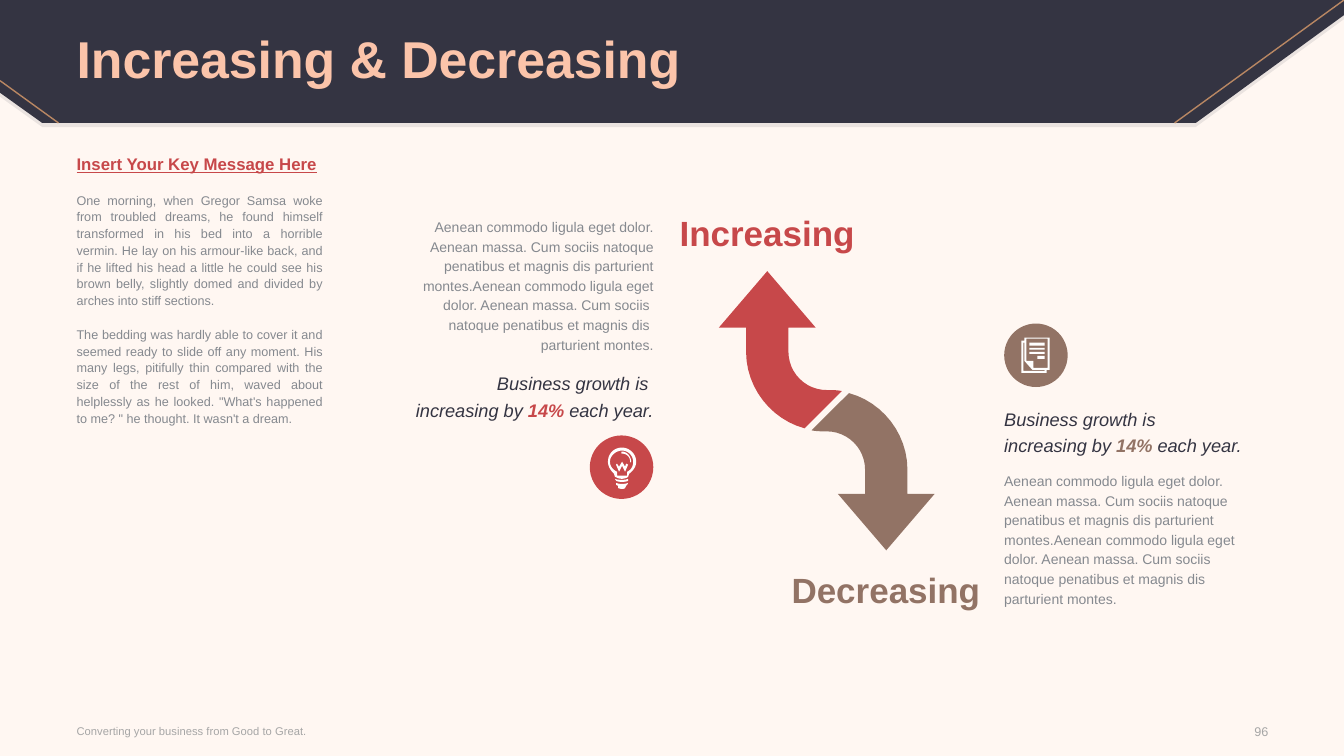
from dataclasses import dataclass

from lxml import etree
from pptx import Presentation
from pptx.dml.color import RGBColor
from pptx.enum.shapes import MSO_CONNECTOR, MSO_SHAPE
from pptx.enum.text import MSO_ANCHOR, MSO_AUTO_SIZE, PP_ALIGN
from pptx.oxml.ns import qn
from pptx.util import Inches, Pt

LEFT, RIGHT, JUSTIFY = PP_ALIGN.LEFT, PP_ALIGN.RIGHT, PP_ALIGN.JUSTIFY
TOP, MIDDLE = MSO_ANCHOR.TOP, MSO_ANCHOR.MIDDLE
OVAL, STRAIGHT = MSO_SHAPE.OVAL, MSO_CONNECTOR.STRAIGHT
NO_FIT = MSO_AUTO_SIZE.NONE


@dataclass(frozen=True)
class Theme:
    font: str = "Arial"
    paper: str = "FFF7F2"
    navy: str = "343442"
    peach: str = "FBC4AA"
    gold: str = "B98763"
    red: str = "C7484A"
    brown: str = "927365"
    grey: str = "85898F"
    pale: str = "A6A6A6"
    white: str = "FFFFFF"
    title: float = 37
    label: float = 25
    claim: float = 13
    heading: float = 12
    detail: float = 10
    body: float = 9
    footer: float = 8


T = Theme()

BAND = [(11.86, 1.22), (0.42, 1.22), (0, 0.92), (0, 0), (13.33, 0), (13.33, 0.15)]
ARROW = [
    (8.35, 3.88), (7.98, 4.25), (7.65, 4.16, 7.4, 3.85, 7.4, 3.49), (7.4, 3.25),
    (7.13, 3.25), (7.61, 2.69), (8.09, 3.25), (7.82, 3.25), (7.82, 3.49),
    (7.82, 3.7, 7.99, 3.87, 8.2, 3.87), (8.25, 3.87, 8.3, 3.87, 8.35, 3.88),
]
BULB = [
    [(6.11, 4.79), (6.11, 4.81), (6.13, 4.82), (6.13, 4.84),
     (6.13, 4.84, 6.14, 4.85, 6.17, 4.85), (6.2, 4.85, 6.2, 4.84, 6.2, 4.84),
     (6.21, 4.82), (6.22, 4.81), (6.23, 4.79),
     (6.21, 4.8, 6.19, 4.8, 6.17, 4.8), (6.15, 4.8, 6.13, 4.8, 6.11, 4.79)],
    [(6.1, 4.75), (6.11, 4.77), (6.13, 4.78, 6.15, 4.78, 6.17, 4.78),
     (6.19, 4.78, 6.21, 4.78, 6.23, 4.77), (6.23, 4.75),
     (6.21, 4.76, 6.19, 4.76, 6.17, 4.76), (6.14, 4.76, 6.12, 4.76, 6.1, 4.75)],
    [(6.17, 4.44), (6.09, 4.44, 6.03, 4.5, 6.03, 4.58),
     (6.03, 4.63, 6.06, 4.67, 6.09, 4.7), (6.1, 4.73),
     (6.12, 4.74, 6.14, 4.75, 6.17, 4.75), (6.19, 4.75, 6.22, 4.74, 6.23, 4.73),
     (6.24, 4.7), (6.28, 4.67, 6.31, 4.63, 6.31, 4.58),
     (6.31, 4.5, 6.24, 4.44, 6.17, 4.44)],
    [(6.22, 4.68), (6.22, 4.72), (6.12, 4.72), (6.12, 4.68),
     (6.08, 4.66, 6.05, 4.63, 6.05, 4.58), (6.05, 4.52, 6.11, 4.47, 6.17, 4.47),
     (6.23, 4.47, 6.28, 4.52, 6.28, 4.58), (6.28, 4.63, 6.26, 4.66, 6.22, 4.68)],
    [(6.2, 4.63), (6.17, 4.58), (6.14, 4.63), (6.12, 4.6), (6.11, 4.61),
     (6.14, 4.68), (6.17, 4.62), (6.2, 4.68), (6.23, 4.61), (6.21, 4.6)],
    [(6.17, 4.48), (6.16, 4.48, 6.16, 4.5, 6.17, 4.5),
     (6.21, 4.5, 6.25, 4.53, 6.25, 4.58), (6.25, 4.59, 6.26, 4.59, 6.26, 4.58),
     (6.26, 4.53, 6.22, 4.48, 6.17, 4.48)],
]
PAGES = [
    [(10.16, 3.35), (10.16, 3.38), (10.13, 3.38), (10.13, 3.7), (10.38, 3.7),
     (10.38, 3.67), (10.41, 3.67), (10.41, 3.35)],
    [(10.36, 3.68), (10.15, 3.68), (10.15, 3.4), (10.16, 3.4), (10.16, 3.58),
     (10.24, 3.67), (10.36, 3.67)],
    [(10.39, 3.65), (10.25, 3.65), (10.25, 3.58), (10.18, 3.58), (10.18, 3.36),
     (10.39, 3.36)],
]
PAGE_LINES = [(10.21, 3.4, 0.03), (10.21, 3.45, 0.02), (10.21, 3.49, 0.02), (10.29, 3.53, 0.03)]

KEY_MESSAGE = [
    "One morning, when Gregor Samsa woke from troubled dreams, he found himself transformed in his bed into a horrible vermin. He lay on his armour-like back, and if he lifted his head a little he could see his brown belly, slightly domed and divided by arches into stiff sections.",
    "The bedding was hardly able to cover it and seemed ready to slide off any moment. His many legs, pitifully thin compared with the size of the rest of him, waved about helplessly as he looked. \"What's happened to me? \" he thought. It wasn't a dream.",
]
DETAIL = "Aenean commodo ligula eget dolor. Aenean massa. Cum sociis natoque penatibus et magnis dis parturient montes.Aenean commodo ligula eget dolor. Aenean massa. Cum sociis \nnatoque penatibus et magnis dis \nparturient montes."


def rgb(value):
    return RGBColor.from_string(value)


def write(tf, paragraphs, size=T.detail, color=T.grey, align=LEFT, anchor=TOP,
          spacing=None, before=0, **style):
    tf.margin_left = tf.margin_right = tf.margin_top = tf.margin_bottom = 0
    tf.word_wrap, tf.auto_size, tf.vertical_anchor = True, NO_FIT, anchor
    for i, runs in enumerate(paragraphs):
        p = tf.paragraphs[0] if i == 0 else tf.add_paragraph()
        p.alignment, p.line_spacing = align, spacing
        if i and before:
            p.space_before = Pt(before)
        for text, override in ([(runs, {})] if isinstance(runs, str) else runs):
            look = {"size": size, "color": color, **style, **override}
            for j, line in enumerate(text.split("\n")):
                if j:
                    p.add_line_break()
                r = p.add_run()
                r.text = line
                r.font.name, r.font.size = T.font, Pt(look["size"])
                r.font.color.rgb = rgb(look["color"])
                r.font.bold = look.get("bold", False)
                r.font.italic = look.get("italic", False)
                r.font.underline = look.get("underline", False)


def add_text(s, x, y, w, h, paragraphs, **style):
    box = s.shapes.add_textbox(Inches(x), Inches(y), Inches(w), Inches(h))
    write(box.text_frame, paragraphs, **style)


def paint(sp, color, alpha=None):
    sp.shadow.inherit = False
    sp.fill.solid()
    sp.fill.fore_color.rgb = rgb(color)
    sp.line.fill.background()
    if alpha:
        clr = sp.fill._xPr.find(qn("a:solidFill"))[0]
        etree.SubElement(clr, qn("a:alpha")).set("val", str(alpha * 1000))


def flatten(contour, steps=12):
    points = []
    for node in contour:
        if len(node) == 2:
            points.append(node)
            continue
        x0, y0 = points[-1]
        x1, y1, x2, y2, x3, y3 = node
        for k in range(1, steps + 1):
            t = k / steps
            u = 1 - t
            a, b, c, d = u ** 3, 3 * u * u * t, 3 * u * t * t, t ** 3
            points.append((a * x0 + b * x1 + c * x2 + d * x3,
                           a * y0 + b * y1 + c * y2 + d * y3))
    return [(Inches(x), Inches(y)) for x, y in points]


def add_outline(s, contours, color, alpha=None):
    builder = None
    for contour in contours:
        start, *rest = flatten(contour)
        if builder is None:
            builder = s.shapes.build_freeform(*start)
        else:
            builder.move_to(*start)
        builder.add_line_segments(rest, close=True)
    paint(builder.convert_to_shape(), color, alpha)


def add_line(s, x1, y1, x2, y2):
    line = s.shapes.add_connector(STRAIGHT, Inches(x1), Inches(y1), Inches(x2), Inches(y2))
    line.line.color.rgb, line.line.width = rgb(T.gold), Pt(1)
    etree.SubElement(line._element.spPr, qn("a:effectLst"))


def add_icon(s, x, y, color, contours):
    paint(s.shapes.add_shape(OVAL, Inches(x), Inches(y), Inches(0.63), Inches(0.63)), color)
    add_outline(s, contours, T.white)


def add_header(s, text):
    add_outline(s, [[(x, y + 0.04) for x, y in BAND] + [(0, 0.04)][:0]], T.navy, alpha=10)
    add_outline(s, [BAND], T.navy)
    add_line(s, 13.33, 0, 11.65, 1.22)
    add_line(s, 0, 0.8, 0.58, 1.22)
    title = s.shapes.title
    title.left, title.top, title.width, title.height = map(Inches, (0.76, 0.03, 11.81, 1.17))
    write(title.text_frame, [text], size=T.title, color=T.peach, anchor=MIDDLE,
          spacing=0.9, bold=True)
    title.element.getparent().append(title.element)


def add_claim(s, x, claim_y, detail_y, first_line, color, align):
    add_text(s, x, detail_y, 2.61, 1.37, [DETAIL], align=align, spacing=Pt(14))
    second_line = [("increasing by ", {}), ("14%", {"color": color, "bold": True}),
                   (" each year.", {})]
    add_text(s, x, claim_y, 2.61, 0.53, [first_line, second_line], size=T.claim,
             color=T.navy, align=align, spacing=Pt(19), italic=True)


def main():
    prs = Presentation()
    prs.slide_width, prs.slide_height = Inches(13.33), Inches(7.5)
    s = prs.slides.add_slide(prs.slide_layouts[5])
    s.background.fill.solid()
    s.background.fill.fore_color.rgb = rgb(T.paper)

    add_header(s, "Increasing & Decreasing")
    heading = [("Insert Your Key Message Here",
                {"size": T.heading, "color": T.red, "bold": True, "underline": True})]
    add_text(s, 0.76, 1.56, 2.44, 5.19, [heading, *KEY_MESSAGE], size=T.body,
             align=JUSTIFY, spacing=Pt(12), before=12)
    add_text(s, 0.76, 7.12, 5.23, 0.26, ["Converting your business from Good to Great."],
             size=T.footer, color=T.pale, anchor=MIDDLE)
    add_text(s, 11.95, 7.13, 0.63, 0.26, ["96"], size=T.body, color=T.pale,
             align=RIGHT, anchor=MIDDLE)

    page_lines = [[(x, y), (10.36, y), (10.36, y + h), (x, y + h)] for x, y, h in PAGE_LINES]
    add_icon(s, 5.85, 4.32, T.red, BULB)
    add_icon(s, 9.96, 3.21, T.brown, PAGES + page_lines)

    turned = [tuple((8.15 if i % 2 else 16.4) - v for i, v in enumerate(node)) for node in ARROW]
    add_outline(s, [ARROW], T.red)
    add_outline(s, [turned], T.brown)
    add_text(s, 6.74, 2.1, 2.61, 0.42, ["Increasing"], size=T.label, color=T.red, bold=True)
    add_text(s, 7.11, 5.64, 2.61, 0.42, ["Decreasing"], size=T.label, color=T.brown,
             align=RIGHT, bold=True)
    add_claim(s, 3.87, 3.65, 2.14, "Business growth is ", T.red, RIGHT)
    add_claim(s, 9.96, 4, 4.66, "Business growth is", T.brown, LEFT)

    prs.save("out.pptx")


if __name__ == "__main__":
    main()
